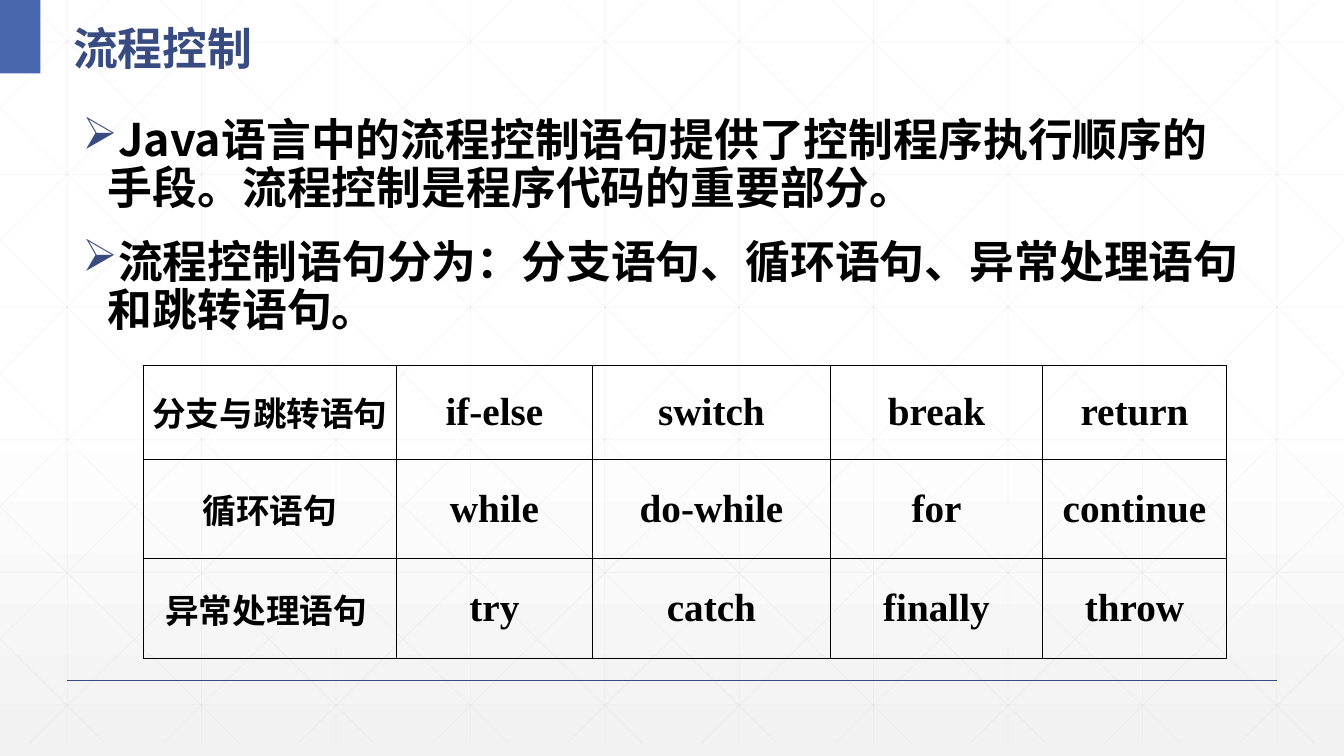
from copy import deepcopy
from dataclasses import dataclass

from lxml.etree import SubElement
from pptx import Presentation
from pptx.dml.color import RGBColor
from pptx.enum.shapes import MSO_CONNECTOR, MSO_SHAPE
from pptx.enum.text import MSO_ANCHOR as Anchor, PP_ALIGN as Align
from pptx.oxml.ns import qn
from pptx.util import Cm, Pt

COLORS = {"ink": "000000", "navy": "384C81", "blue": "4A66AC",
          "grid": "D9D9D9", "white": "FFFFFF", "mist": "F2F2F2"}
SANS, SERIF = "Noto Sans CJK SC", "Times New Roman"
WIDTH, HEIGHT = 33.87, 19.05
GRID_HEIGHT = 18.72
COLUMN_STEP, ROW_STEP = WIDTH / 10, 3.34
DIAGONAL_START, DIAGONAL_RUN = 0.64, 18.94

POINTS = ["Java语言中的流程控制语句提供了控制程序执行顺序的手段。流程控制是程序代码的重要部分。",
          "流程控制语句分为：分支语句、循环语句、异常处理语句和跳转语句。"]
COLUMN_WIDTHS = [6.38, 4.94, 6.0, 5.34, 4.64]


@dataclass
class Line:
    x1: float
    y1: float
    x2: float
    y2: float
    color: str = "grid"
    weight: float = 0.5
    opacity: int = 25

    def mirrored(self) -> "Line":
        return Line(WIDTH - self.x1, self.y1, WIDTH - self.x2, self.y2)


@dataclass
class StatementRow:
    group: str
    keywords: list[str]
    height: float


STATEMENTS = [
    StatementRow("分支与跳转语句", ["if-else", "switch", "break", "return"], 2.37),
    StatementRow("循环语句", ["while", "do-while", "for", "continue"], 2.51),
    StatementRow("异常处理语句 ", ["try", "catch", "finally", "throw"], 2.51),
]


def rgb(name: str) -> RGBColor:
    return RGBColor.from_string(COLORS[name])


def write(para, text: str, *, size: float, color: str = "ink", font: str = SANS,
          align=Align.LEFT, spacing: float = 1.0, after: float = 0) -> None:
    para.alignment, para.line_spacing = align, spacing
    para.space_before, para.space_after = Pt(0), Pt(after)
    span = para.add_run()
    span.text = text
    span.font.size, span.font.bold, span.font.name = Pt(size), True, font
    span.font.color.rgb = rgb(color)
    SubElement(span.font._element, qn("a:ea"), typeface=SANS)


def add_bullet(para, color: str) -> None:
    properties = para._p.get_or_add_pPr()
    properties.set("marL", str(Cm(0.64)))
    properties.set("indent", str(Cm(-0.64)))
    bullet_color = SubElement(properties, qn("a:buClr"))
    SubElement(bullet_color, qn("a:srgbClr"), val=COLORS[color])
    SubElement(properties, qn("a:buChar"), char="➢")


def draw_line(page, line: Line) -> None:
    connector = page.shapes.add_connector(
        MSO_CONNECTOR.STRAIGHT, Cm(line.x1), Cm(line.y1), Cm(line.x2), Cm(line.y2))
    connector.line.color.rgb = rgb(line.color)
    connector.line.width = Pt(line.weight)
    if line.opacity < 100:
        shade = connector.element.spPr.find(".//" + qn("a:srgbClr"))
        SubElement(shade, qn("a:alpha"), val=str(line.opacity * 1000))
    SubElement(connector.element.spPr, qn("a:effectLst"))


def diagonal(start: float) -> Line:
    """A falling line from the top edge, cut at the sides of the slide."""
    end = start + DIAGONAL_RUN
    slope = GRID_HEIGHT / DIAGONAL_RUN
    left, right = max(start, 0), min(end, WIDTH)
    return Line(left, (left - start) * slope, right, (right - start) * slope)


def grid_lines() -> list[Line]:
    columns = [COLUMN_STEP * (k + 0.5) for k in range(10)]
    rows = [1.06 + ROW_STEP * k for k in range(6)]
    falling = [diagonal(DIAGONAL_START + COLUMN_STEP * k) for k in range(-5, 10)]
    return ([Line(x, 0, x, GRID_HEIGHT) for x in columns]
            + [Line(0, y, WIDTH, y) for y in rows]
            + falling + [line.mirrored() for line in falling])


def paint_background(page) -> None:
    fill = page.background.fill
    fill.gradient()
    fill.gradient_angle = 270
    stop_list = page.element.find(".//" + qn("a:gsLst"))
    stop_list.append(deepcopy(stop_list[-1]))
    stops = [("white", 0), ("white", 0.53), ("mist", 1)]
    for stop, (color, position) in zip(fill.gradient_stops, stops):
        stop.color.rgb, stop.position = rgb(color), position


def border_cell(cell) -> None:
    properties = cell._tc.get_or_add_tcPr()
    for index, side in enumerate(("lnL", "lnR", "lnT", "lnB")):
        edge = SubElement(properties, qn("a:" + side), w=str(Pt(0.5)))
        paint = SubElement(edge, qn("a:solidFill"))
        SubElement(paint, qn("a:srgbClr"), val=COLORS["ink"])
        properties.insert(index, edge)


def add_statement_table(page) -> None:
    frame = page.shapes.add_table(
        len(STATEMENTS), len(COLUMN_WIDTHS), Cm(3.61), Cm(9.2),
        Cm(sum(COLUMN_WIDTHS)), Cm(sum(row.height for row in STATEMENTS)))
    table = frame.table
    table.first_row = table.horz_banding = False
    for column, width in zip(table.columns, COLUMN_WIDTHS):
        column.width = Cm(width)
    for r, row in enumerate(STATEMENTS):
        table.rows[r].height = Cm(row.height)
        for c, text in enumerate([row.group, *row.keywords]):
            cell = table.cell(r, c)
            cell.fill.background()
            cell.vertical_anchor = Anchor.MIDDLE
            cell.margin_left = cell.margin_right = cell.margin_top = cell.margin_bottom = 0
            border_cell(cell)
            write(cell.text_frame.paragraphs[0], text, size=28 if c else 24,
                  font=SERIF, align=Align.CENTER)


def main() -> None:
    deck = Presentation()
    deck.slide_width, deck.slide_height = Cm(WIDTH), Cm(HEIGHT)
    page = deck.slides.add_slide(deck.slide_layouts[5])

    # Backdrop: gradient, grid, footer rule and corner block
    paint_background(page)
    for line in grid_lines():
        draw_line(page, line)
    draw_line(page, Line(1.69, 17.15, 32.17, 17.15, "navy", 1, 100))
    corner = page.shapes.add_shape(MSO_SHAPE.RECTANGLE, 0, 0, Cm(1.02), Cm(1.85))
    corner.shadow.inherit = False
    corner.fill.solid()
    corner.fill.fore_color.rgb = rgb("blue")
    corner.line.fill.background()

    # Title, brought in front of the grid
    title = page.shapes.title
    title.left, title.top, title.width, title.height = Cm(1.59), Cm(0.06), Cm(14.45), Cm(1.85)
    title.text_frame.vertical_anchor = Anchor.MIDDLE
    write(title.text_frame.paragraphs[0], "流程控制", size=32, color="navy", spacing=1.3)
    page.shapes._spTree.append(title.element)

    # Bulleted points
    box = page.shapes.add_textbox(Cm(1.83), Cm(2.84), Cm(29.82), Cm(6))
    box.text_frame.word_wrap = True
    for index, point in enumerate(POINTS):
        para = box.text_frame.add_paragraph() if index else box.text_frame.paragraphs[0]
        write(para, point, size=32, spacing=0.9, after=18)
        add_bullet(para, "navy")

    # Table of statements
    add_statement_table(page)
    deck.save("out.pptx")


if __name__ == "__main__":
    main()
